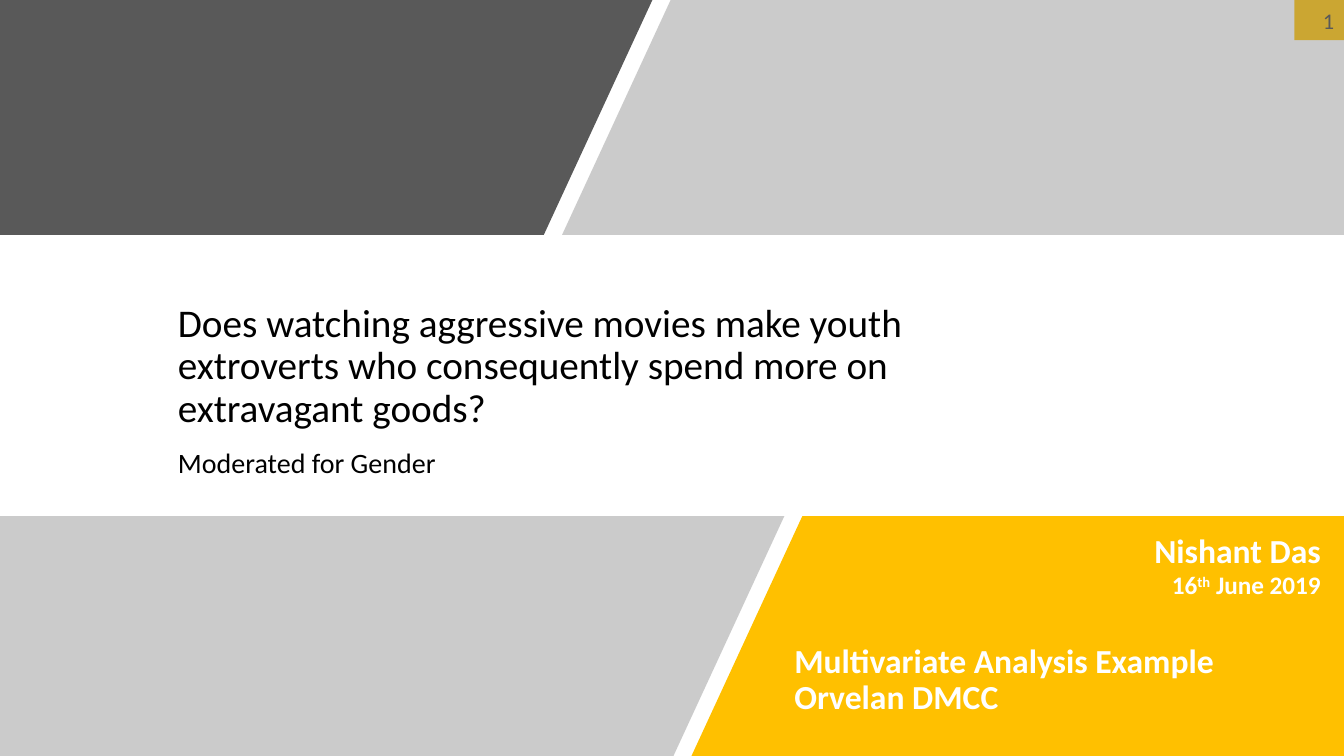
from dataclasses import dataclass

from lxml.etree import SubElement
from pptx import Presentation
from pptx.dml.color import RGBColor
from pptx.enum.shapes import MSO_SHAPE
from pptx.enum.text import MSO_ANCHOR, PP_ALIGN
from pptx.oxml.ns import qn
from pptx.util import Emu, Inches, Pt


@dataclass(frozen=True)
class Theme:
    """Colours, type sizes and the shared slant of the cover."""
    font: str = "Calibri"
    dark: str = "595959"
    grey: str = "7F7F7F"
    gold: str = "FFC000"
    badge: str = "FFC100"
    number: str = "404040"
    black: str = "000000"
    white: str = "FFFFFF"
    title: int = 28
    author: int = 24
    subtitle: int = 20
    date: int = 18
    page: int = 16
    veil: int = 40
    lean: float = 0.26


class Cover:
    """Draws cover elements, with lengths as percentages of the slide."""

    def __init__(self, prs, theme):
        self.prs, self.theme = prs, theme
        self.s = prs.slides.add_slide(prs.slide_layouts[6])

    def x(self, share):
        """Turn a percentage of the width into a length."""
        return Emu(round(self.prs.slide_width * share / 100))

    def y(self, share):
        """Turn a percentage of the height into a length."""
        return Emu(round(self.prs.slide_height * share / 100))

    def box(self, left, top, width, height):
        """Turn four percentages into a position and size."""
        return self.x(left), self.y(top), self.x(width), self.y(height)

    def paint(self, sp, color, alpha=None):
        """Fill a shape flat, without outline or shadow."""
        sp.shadow.inherit = False
        sp.line.fill.background()
        sp.fill.solid()
        sp.fill.fore_color.rgb = RGBColor.from_string(color)
        if alpha:
            clr = sp._element.spPr.find(qn("a:solidFill"))[0]
            SubElement(clr, qn("a:alpha"), val=str(alpha * 1000))

    def band(self, side, edge, top, bottom, color, alpha=None):
        """Draw a band from a slide side to a slanted edge."""
        foot = edge - self.theme.lean * (bottom - top)
        corners = [(edge, top), (foot, bottom), (side, bottom), (side, top)]
        start, *rest = [(self.x(cx), self.y(cy)) for cx, cy in corners]
        builder = self.s.shapes.build_freeform(*start)
        builder.add_line_segments(rest, close=True)
        self.paint(builder.convert_to_shape(), color, alpha)

    def set_text(self, sp, paragraphs, size, color, bold=False, frame=None):
        """Set the text of a shape from paragraph formats and runs."""
        tf = sp.text_frame
        for name, value in {"word_wrap": True, **(frame or {})}.items():
            setattr(tf, name, value)
        for i, (runs, para) in enumerate(paragraphs):
            p = tf.add_paragraph() if i else tf.paragraphs[0]
            for name, value in para.items():
                setattr(p, name, value)
            for text, baseline in runs:
                r = p.add_run()
                r.text = text
                font = {"name": self.theme.font, "size": Pt(size), "bold": bold}
                for name, value in font.items():
                    setattr(r.font, name, value)
                r.font.color.rgb = RGBColor.from_string(color)
                if baseline:
                    r._r.get_or_add_rPr().set("baseline", str(baseline * 1000))

    def text(self, place, *args, **kwargs):
        """Add a text box."""
        self.set_text(self.s.shapes.add_textbox(*self.box(*place)), *args, **kwargs)

    def badge(self, place, number):
        """Add the page number badge."""
        sp = self.s.shapes.add_shape(MSO_SHAPE.RECTANGLE, *self.box(*place))
        self.paint(sp, self.theme.badge)
        right = {"alignment": PP_ALIGN.RIGHT}
        self.set_text(sp, [([(number, 0)], right)], self.theme.page, self.theme.number)


def main():
    """Build the cover slide and save it."""
    prs = Presentation()
    prs.slide_width, prs.slide_height = Inches(13.33), Inches(7.5)
    t = Theme()
    cover = Cover(prs, t)
    upper, lower = (0, 31.07), (68.27, 100)
    tight = {"line_spacing": 0.9}
    right = {"alignment": PP_ALIGN.RIGHT}
    left = {**tight, "alignment": PP_ALIGN.LEFT}
    bottom = {"vertical_anchor": MSO_ANCHOR.BOTTOM}

    cover.badge((96.3, 0, 3.7, 5.33), "1")
    title = ("Does watching aggressive movies make youth extroverts "
             "who consequently spend more on extravagant goods?")
    cover.text((12.5, 34.8, 61.6, 22.8), [([(title, 0)], left)],
               t.title, t.black, frame=bottom)
    cover.text((12.5, 58.8, 75, 8.4), [([("Moderated for Gender", 0)], left)],
               t.subtitle, t.black)

    for side, edge, rows, color, alpha in [
        (0, 48.54, upper, t.dark, None),
        (100, 49.9, upper, t.grey, t.veil),
        (100, 59.7, lower, t.gold, None),
        (0, 58.36, lower, t.grey, t.veil),
    ]:
        cover.band(side, edge, *rows, color, alpha)

    cover.text((58.36, 68.27, 40.66, 27.2), [
        ([("Nishant Das", 0)], {**tight, **right}),
        ([("Multivariate Analysis Example", 0)], {**left, "space_before": Pt(52.7)}),
        ([("Orvelan DMCC", 0)], left),
    ], t.author, t.white, bold=True, frame=bottom)
    cover.text((86.2, 74.67, 12.82, 9.47),
               [([("16", 0), ("th", 30), (" June 2019", 0)], right)],
               t.date, t.white, bold=True, frame={"word_wrap": False})

    prs.save("out.pptx")


if __name__ == "__main__":
    main()
